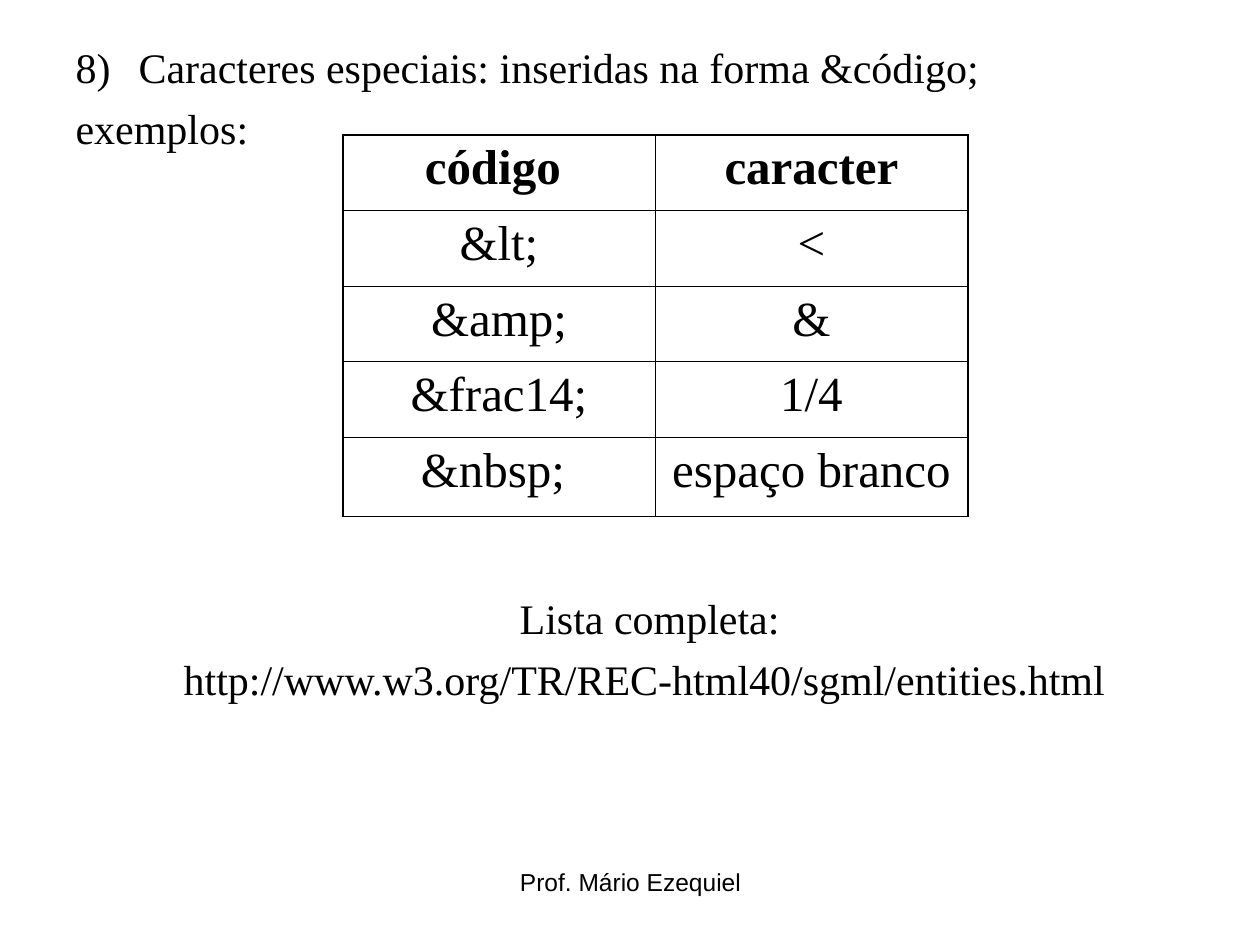
from lxml.etree import SubElement
from pptx import Presentation
from pptx.dml.color import RGBColor as RGB
from pptx.enum.text import MSO_ANCHOR, MSO_AUTO_SIZE, PP_ALIGN as AL
from pptx.oxml.ns import qn
from pptx.util import Inches, Pt

COLORS = {"ink": "000000", "paper": "FFFFFF"}
SERIF, SANS = "Times New Roman", "Arial"
THIN, THICK = 0.45, 1.08
ROWS = [
    ("código ", "caracter"),
    ("&lt;", "<"),
    ("&amp;", "&"),
    ("&frac14;", "1/4"),
    ("&nbsp; ", "espaço branco"),
]
BODY = [
    ("8)\tCaracteres especiais: inseridas na forma &código;", AL.LEFT, 6),
    ("exemplos:", AL.LEFT, 6),
    (" Lista completa:", AL.CENTER, 251),
    ("http://www.w3.org/TR/REC-html40/sgml/entities.html", AL.CENTER, 6),
]


def write(p, text, size, font=SERIF, align=AL.CENTER, before=0, bold=False):
    """Add one formatted run to a paragraph."""
    p.alignment, p.space_before = align, Pt(before)
    r = p.add_run()
    r.text = text
    r.font.name, r.font.size, r.font.bold = font, Pt(size), bold
    r.font.color.rgb = RGB.from_string(COLORS["ink"])


def add_body(s):
    """Fill the body placeholder with unbulleted lines."""
    sp = s.placeholders[1]
    sp.left, sp.top, sp.width, sp.height = map(Inches, (0.5, 0.28, 9.23, 6.41))
    tf = sp.text_frame
    tf.auto_size, tf.vertical_anchor = MSO_AUTO_SIZE.NONE, MSO_ANCHOR.TOP
    for i, (text, align, before) in enumerate(BODY):
        p = tf.add_paragraph() if i else tf.paragraphs[0]
        write(p, text, 24, align=align, before=before)
        pPr = p._p.get_or_add_pPr()
        pPr.set("marL", "0")
        pPr.set("indent", "0")
        SubElement(pPr, qn("a:buNone"))


def set_borders(cell, widths):
    """Draw the left, right, top and bottom borders of a cell."""
    tcPr = cell._tc.get_or_add_tcPr()
    for i, (side, width) in enumerate(zip("LRTB", widths)):
        ln = SubElement(tcPr, qn(f"a:ln{side}"), w=str(Pt(width)))
        fill = SubElement(ln, qn("a:solidFill"))
        SubElement(fill, qn("a:srgbClr"), val=COLORS["ink"])
        tcPr.insert(i, ln)


def add_codes_table(s):
    """Add the table of codes with a heavier outer frame."""
    last_row, last_col = len(ROWS) - 1, len(ROWS[0]) - 1
    box = map(Inches, (2.72, 1.07, 4.96, 3.03))
    table = s.shapes.add_table(len(ROWS), len(ROWS[0]), *box).table
    table.first_row = table.horz_banding = False
    for i, row in enumerate(ROWS):
        table.rows[i].height = Inches(0.63 if i == last_row else 0.6)
        for j, text in enumerate(row):
            cell = table.cell(i, j)
            cell.fill.background()
            outer = (j == 0, j == last_col, i == 0, i == last_row)
            set_borders(cell, [THICK if edge else THIN for edge in outer])
            write(cell.text_frame.paragraphs[0], text, 28, before=7, bold=i == 0)


def add_footer(s):
    """Add the author's name at the foot of the slide."""
    sp = s.shapes.add_textbox(*map(Inches, (3.42, 6.83, 3.17, 0.52)))
    tf = sp.text_frame
    tf.word_wrap = True
    write(tf.paragraphs[0], "Prof. Mário Ezequiel", 14, SANS)


def main():
    """Build and save the slide."""
    prs = Presentation()
    prs.slide_width, prs.slide_height = Inches(10), Inches(7.5)
    s = prs.slides.add_slide(prs.slide_layouts[1])
    s.background.fill.solid()
    s.background.fill.fore_color.rgb = RGB.from_string(COLORS["paper"])
    title = s.shapes.title._element
    title.getparent().remove(title)
    add_footer(s)
    add_body(s)
    add_codes_table(s)
    prs.save("out.pptx")


if __name__ == "__main__":
    main()
